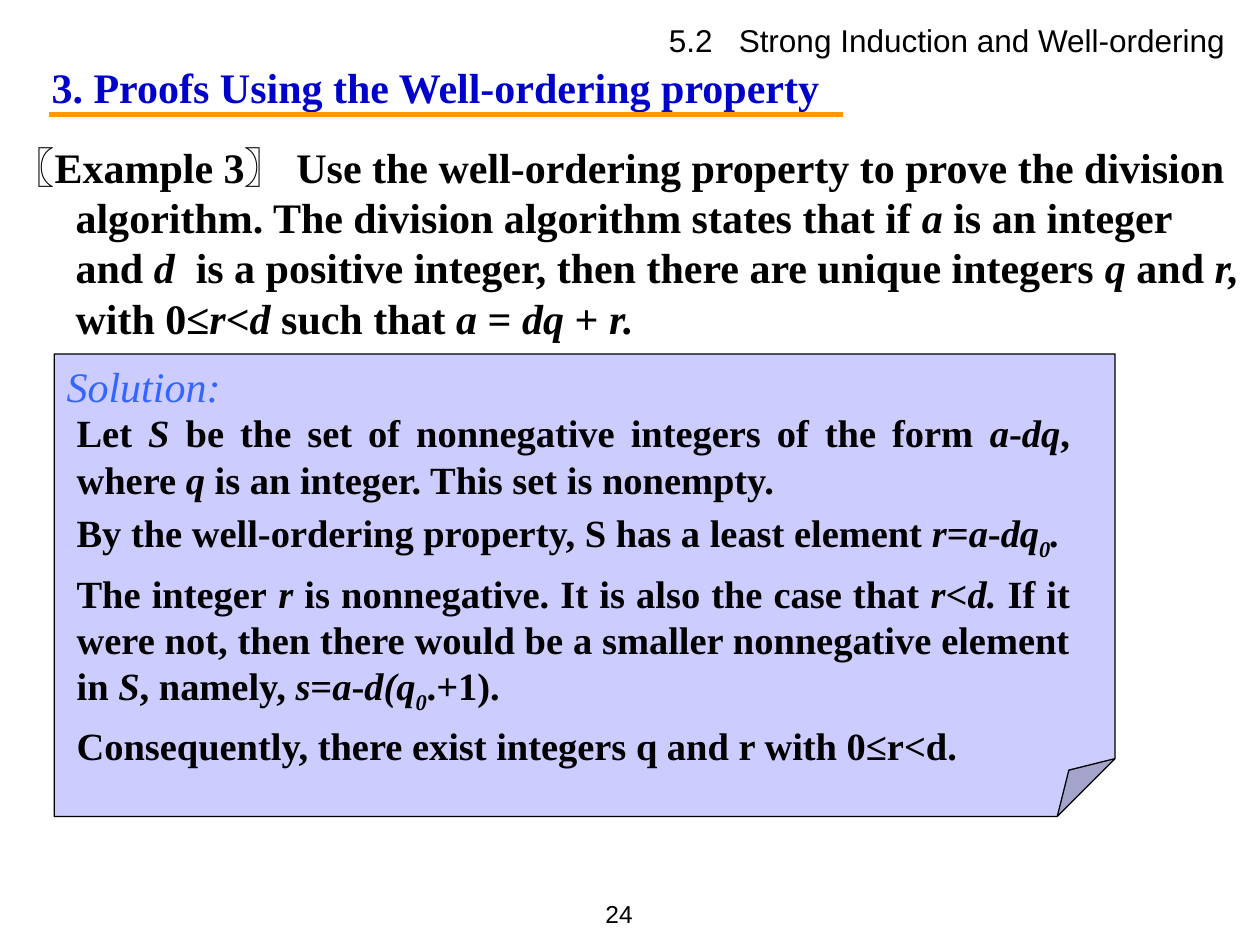
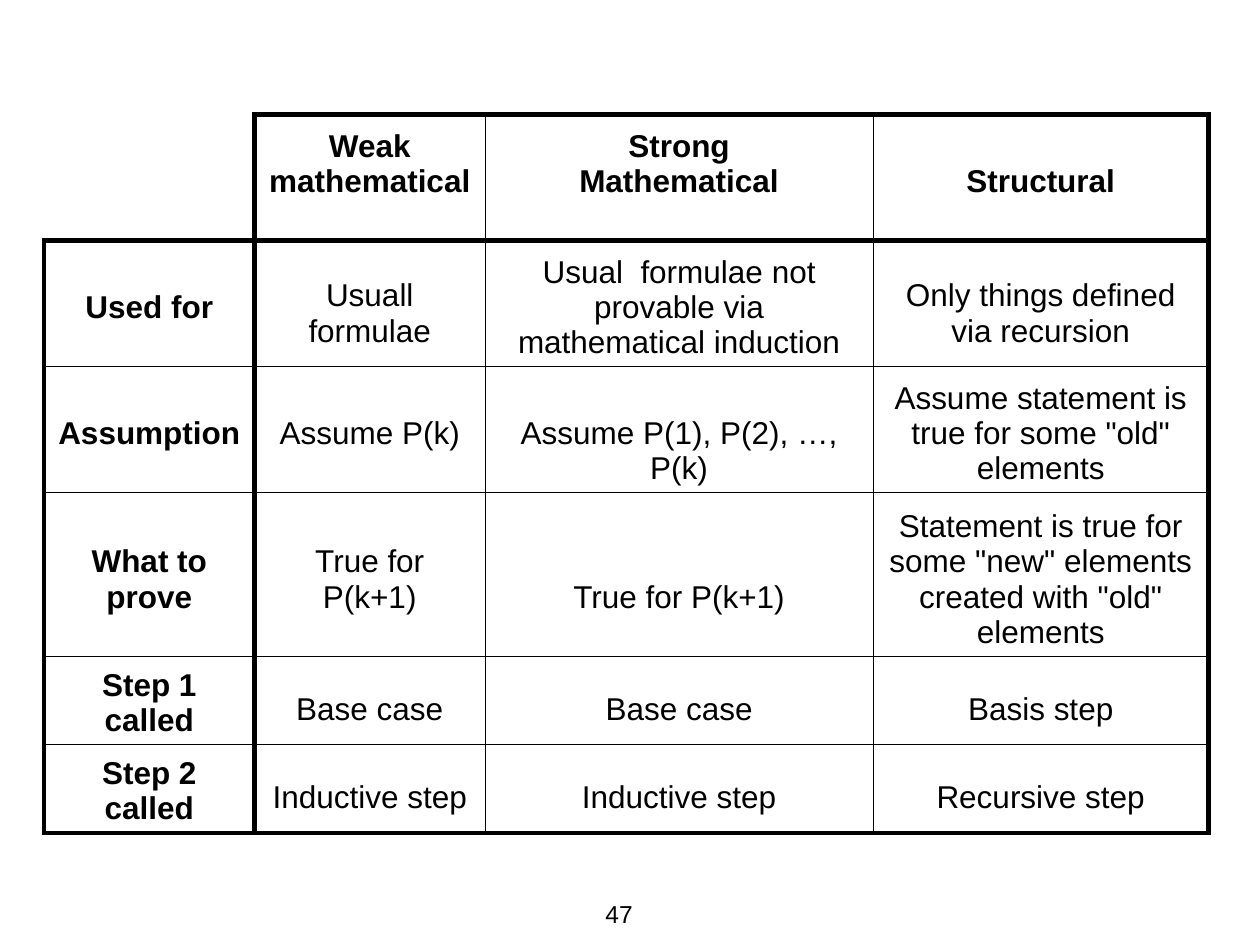
from dataclasses import dataclass

from pptx import Presentation
from pptx.dml.color import RGBColor
from pptx.enum.shapes import MSO_CONNECTOR as Link, MSO_SHAPE as Form
from pptx.enum.text import MSO_ANCHOR as Anchor, MSO_AUTO_SIZE as Fit, PP_ALIGN as Align
from pptx.oxml.ns import qn
from pptx.oxml.xmlchemy import OxmlElement as Node
from pptx.util import Emu, Inches, Pt

COLS, ROWS = 100, 75
WIDE, HIGH = Inches(10), Inches(7.5)
INK, BLUE, SKY, GOLD, LILAC = "000000", "0000CC", "3366FF", "FF9900", "CCCCFF"
SERIF, SANS = "Times New Roman", "Arial"
THICK, THIN = 3, 0.5
PAD, LINE = 0.05, 0.28


@dataclass
class Box:
    left: float
    top: float
    wide: float
    high: float

    def emu(self) -> tuple:
        return across(self.left), down(self.top), across(self.wide), down(self.high)


@dataclass
class Style:
    size: float
    name: str = SERIF
    color: str = INK
    bold: bool = False
    italic: bool = False
    align: Align = Align.LEFT
    gap: float = 0
    hang: float = 0
    anchor: Anchor = Anchor.TOP


@dataclass
class Cell:
    text: str
    lift: float = 0


HEAD = Style(24, color=BLUE, bold=True)
TASK = Style(24, bold=True, hang=0.5)
LABEL = Style(24, color=SKY, italic=True)
PROOF = Style(22, bold=True, align=Align.JUSTIFY, gap=4.4)
TOPIC = Style(18, SANS, align=Align.RIGHT)
PAGE = Style(14, SANS, align=Align.RIGHT, anchor=Anchor.MIDDLE)
PLAIN = Style(18, SANS, align=Align.CENTER, anchor=Anchor.BOTTOM)
STRONG = Style(18, SANS, bold=True, align=Align.CENTER, anchor=Anchor.BOTTOM)

EXAMPLE = (
    "〖Example 3〗 Use the well-ordering property to prove the division algorithm. "
    "The division algorithm states that if *a* is an integer and *d*  is a positive integer, "
    "then there are unique integers *q* and *r,* with 0≤*r*<*d* such that *a* = *dq* + *r.*"
)
STEPS = [
    "Let *S *be the set of nonnegative integers of the form *a*-*dq*, "
    "where *q* is an integer. This set is nonempty.",
    "By the well-ordering property, S has a least element *r*=*a*-*dq_0_.*",
    "The integer* r *is nonnegative. It is also the case that* r<d. *If it were not, then "
    "there would be a smaller nonnegative element in* S*, namely,* s*=*a*-*d(q_0_*.+1).",
    "Consequently, there exist integers q and r with 0≤r<d.",
]
KINDS = [
    [Cell(""), Cell("Weak mathematical", 1), Cell("Strong\nMathematical", 1), Cell("Structural", 1)],
    [Cell("Used for", 1), Cell("Usuall formulae", 0.33),
     Cell("Usual  formulae not provable via mathematical induction"),
     Cell("Only things defined via recursion", 0.33)],
    [Cell("Assumption", 1), Cell("Assume P(k)", 1), Cell("Assume P(1), P(2), …, P(k)"),
     Cell('Assume statement is true for some "old" elements')],
    [Cell("What to prove", 1), Cell("True for P(k+1)", 1), Cell("True for P(k+1)", 1),
     Cell('Statement is true for some "new" elements created with "old" elements')],
    [Cell("Step 1 called"), Cell("Base case", 0.33), Cell("Base case", 0.33), Cell("Basis step", 0.33)],
    [Cell("Step 2 called"), Cell("Inductive step", 0.33), Cell("Inductive step", 0.33),
     Cell("Recursive step", 0.33)],
]
SPANS = [16.7, 18.3, 30.8, 26.6]
DEPTHS = [10, 10, 10, 13, 7, 7]


def across(cols: float) -> Emu:
    return Emu(round(WIDE * cols / COLS))


def down(rows: float) -> Emu:
    return Emu(round(HIGH * rows / ROWS))


def tint(code: str) -> RGBColor:
    return RGBColor.from_string(code)


def put(item, **values) -> None:
    for key, value in values.items():
        setattr(item, key, value)


def add_runs(para, text: str, style: Style) -> None:
    for i, part in enumerate(text.split("*")):
        for j, bit in enumerate(part.split("_")):
            if not bit:
                continue
            run = para.add_run()
            run.text = bit
            put(run.font, size=Pt(style.size), name=style.name, bold=style.bold,
                italic=style.italic or i % 2 == 1)
            run.font.color.rgb = tint(style.color)
            if j % 2:
                run.font._element.set("baseline", "-25000")


def write(frame, lines: list[str], style: Style) -> None:
    put(frame, word_wrap=True, vertical_anchor=style.anchor)
    for i, text in enumerate(lines):
        para = frame.paragraphs[0] if i == 0 else frame.add_paragraph()
        put(para, alignment=style.align, space_before=Pt(style.gap if i else 0))
        props = para._p.get_or_add_pPr()
        props.set("marL", str(Inches(style.hang)))
        props.set("indent", str(-Inches(style.hang)))
        props.append(Node("a:buNone"))
        add_runs(para, text, style)


def place(holder, box: Box, lines: list[str], style: Style) -> None:
    left, top, wide, high = box.emu()
    put(holder, left=left, top=top, width=wide, height=high)
    holder.text_frame.auto_size = Fit.NONE
    write(holder.text_frame, lines, style)


def add_text(slide, box: Box, lines: list[str], style: Style) -> None:
    write(slide.shapes.add_textbox(*box.emu()).text_frame, lines, style)


def add_page(slide, number: int) -> None:
    add_text(slide, Box(44.5, 70, 6.7, 5), [str(number)], PAGE)


def add_rule(slide, left: float, right: float, top: float) -> None:
    rule = slide.shapes.add_connector(
        Link.STRAIGHT, across(left), down(top), across(right), down(top))
    rule.line.color.rgb = tint(GOLD)
    rule.line.width = Pt(3)
    rule._element.spPr.append(Node("a:effectLst"))


def set_fold(note, share: int) -> None:
    guide = Node("a:gd")
    guide.set("name", "adj")
    guide.set("fmla", f"val {share}")
    shape = note._element.spPr.find(qn("a:prstGeom"))
    shape.get_or_add_avLst().append(guide)


def add_note(slide, box: Box, label: str) -> None:
    note = slide.shapes.add_shape(Form.FOLDED_CORNER, *box.emu())
    note.shadow.inherit = False
    set_fold(note, 12500)
    note.fill.solid()
    note.fill.fore_color.rgb = tint(LILAC)
    note.line.color.rgb = tint(INK)
    note.line.width = Pt(0.75)
    write(note.text_frame, [label], LABEL)


def add_edge(cell, side: str, width: float) -> None:
    edge = Node(f"a:ln{side}")
    edge.set("w", str(Pt(width)))
    fill = Node("a:solidFill" if width else "a:noFill")
    if width:
        color = Node("a:srgbClr")
        color.set("val", INK)
        fill.append(color)
    edge.append(fill)
    cell._tc.get_or_add_tcPr().append(edge)


def weight(edge: int, last: int) -> float:
    return THICK if edge in (0, 1, last) else THIN


def add_grid(slide, box: Box) -> None:
    frame = slide.shapes.add_table(len(DEPTHS), len(SPANS), *box.emu())
    table = frame.table
    put(table, first_row=False, horz_banding=False)
    for col, span in zip(table.columns, SPANS):
        col.width = across(span)
    for row, depth in zip(table.rows, DEPTHS):
        row.height = down(depth)
    for r, items in enumerate(KINDS):
        for c, item in enumerate(items):
            cell = table.cell(r, c)
            corner = r == c == 0
            sides = {
                "L": 0 if corner else weight(c, len(SPANS)),
                "R": weight(c + 1, len(SPANS)),
                "T": 0 if corner else weight(r, len(DEPTHS)),
                "B": weight(r + 1, len(DEPTHS)),
            }
            for side, width in sides.items():
                add_edge(cell, side, width)
            cell.fill.background()
            style = STRONG if r == 0 or c == 0 else PLAIN
            put(cell, vertical_anchor=style.anchor, margin_top=Inches(PAD),
                margin_bottom=Inches(PAD + LINE * item.lift))
            write(cell.text_frame, item.text.split("\n"), style)


def draw_proof(deck) -> None:
    slide = deck.slides.add_slide(deck.slide_layouts[1])
    place(slide.shapes.title, Box(3.1, 4.4, 81.9, 5),
          ["3. Proofs Using the Well-ordering property"], HEAD)
    place(slide.placeholders[1], Box(0, 10.7, 100, 17.2), [EXAMPLE], TASK)
    add_rule(slide, 3.9, 66.9, 9.1)
    add_note(slide, Box(4.3, 28.1, 84.2, 36.7), "Solution:")
    add_text(slide, Box(5.1, 32, 80.8, 29.1), STEPS, PROOF)
    add_text(slide, Box(45, 1.2, 53.9, 4), ["5.2   Strong Induction and Well-ordering "], TOPIC)
    add_page(slide, 24)


def draw_kinds(deck) -> None:
    slide = deck.slides.add_slide(deck.slide_layouts[6])
    add_grid(slide, Box(3.5, 9.1, 92.4, 57))
    add_page(slide, 47)


def main() -> None:
    deck = Presentation()
    put(deck, slide_width=WIDE, slide_height=HIGH)
    draw_proof(deck)
    draw_kinds(deck)
    deck.save("out.pptx")


if __name__ == "__main__":
    main()
